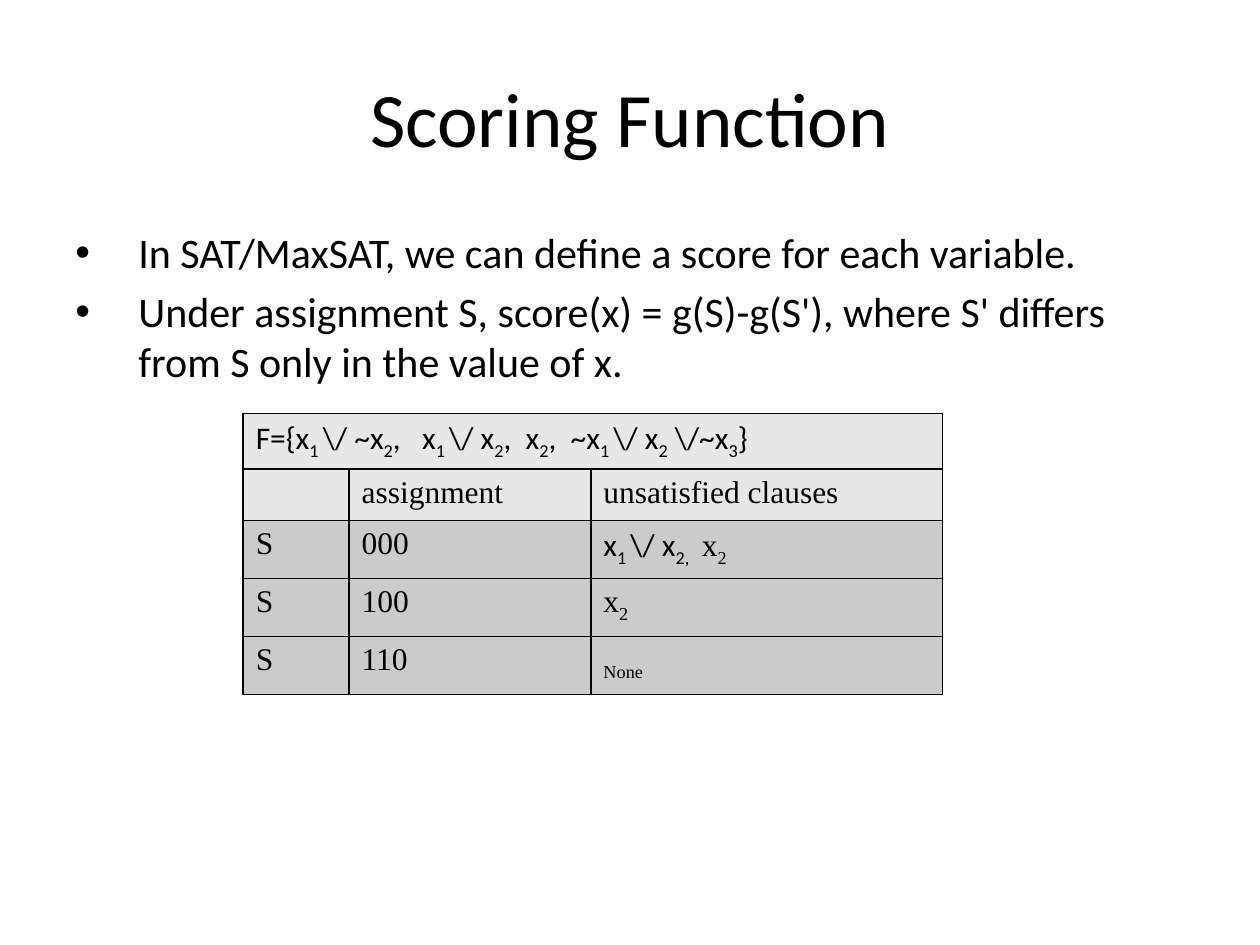
import pptx
import pptx.dml.color
import pptx.enum.text
import pptx.oxml
import pptx.oxml.ns
import pptx.util
from lxml import etree

Inches, Pt = pptx.util.Inches, pptx.util.Pt
ALIGN, ANCHOR = pptx.enum.text.PP_ALIGN, pptx.enum.text.MSO_ANCHOR
COLORS = {"text": "000000", "border": "000000", "head": "E7E7E7", "body": "CBCBCB"}
SANS, SERIF = "Calibri", "Times New Roman"

BULLETS = [
    "In SAT/MaxSAT, we can define a score for each variable.",
    "Under assignment S, score(x) = g(S)-g(S'), where S' differs from S only in the value of x.",
]
COL_WIDTHS = [0.84, 1.92, 2.79]
ROW_HEIGHTS = [0.44, 0.41, 0.46, 0.46, 0.46]
FORMULA = r"F={x|1 |\/ ~x|2|,   x|1 |\/ x|2|,  x|2|,  ~x|1 |\/ x|2| \/~x|3|}"
ROWS = [
    [[(FORMULA, SANS)], [], []],
    [[], [("assignment", SERIF)], [("unsatisfied clauses", SERIF)]],
    [[("S", SERIF)], [("000", SERIF)], [(r"x|1 |\/ x|2,   ", SANS), ("x|2", SERIF)]],
    [[("S", SERIF)], [("100", SERIF)], [("x|2", SERIF)]],
    [[("S", SERIF)], [("110", SERIF)], [("|None", SERIF)]],
]


def rgb(name):
    """Return the named colour."""
    return pptx.dml.color.RGBColor.from_string(COLORS[name])


def set_attrs(obj, values):
    """Set attributes from a dict of format values."""
    for name, value in values.items():
        setattr(obj, name, value)


def add_text(p, text, font, size):
    """Add runs to a paragraph; every second part between bars is a subscript."""
    for i, part in enumerate(text.split("|")):
        if part:
            r = p.add_run()
            r.text = part
            set_attrs(r.font, {"name": font, "size": Pt(size)})
            r.font.color.rgb = rgb("text")
            if i % 2:
                r.font._element.set("baseline", "-25000")


def add_frame(s, box, anchor):
    """Add a wrapping text box and return its text frame."""
    tf = s.shapes.add_textbox(*map(Inches, box)).text_frame
    set_attrs(tf, {"word_wrap": True, "vertical_anchor": anchor})
    return tf


def add_title(s, box):
    """Place the centred title in its box."""
    p = add_frame(s, box, ANCHOR.MIDDLE).paragraphs[0]
    p.alignment = ALIGN.CENTER
    add_text(p, "Scoring Function", SANS, 44)


def add_bullets(s, box):
    """Place the bulleted definitions in their box."""
    tf = add_frame(s, box, ANCHOR.TOP)
    for i, text in enumerate(BULLETS):
        p = tf.add_paragraph() if i else tf.paragraphs[0]
        p.space_before = Pt(4.8)
        pPr = p._p.get_or_add_pPr()
        pPr.set("marL", str(Inches(0.5)))
        pPr.set("indent", str(-Inches(0.5)))
        font = etree.SubElement(pPr, pptx.oxml.ns.qn("a:buFont"))
        font.set("typeface", "Arial")
        etree.SubElement(pPr, pptx.oxml.ns.qn("a:buChar")).set("char", "•")
        add_text(p, text, SANS, 24)


def add_borders(cell):
    """Draw a one-point line on each side of a cell."""
    tcPr = cell._tc.get_or_add_tcPr()
    for side in "LRTB":
        tcPr.append(pptx.oxml.parse_xml(
            f'<a:ln{side} {pptx.oxml.ns.nsdecls("a")} w="{Pt(1)}"><a:solidFill>'
            f'<a:srgbClr val="{COLORS["border"]}"/></a:solidFill></a:ln{side}>'))


def add_score_table(s, box):
    """Place the table of assignments and unsatisfied clauses in its box."""
    table = s.shapes.add_table(len(ROWS), len(COL_WIDTHS), *map(Inches, box)).table
    set_attrs(table, {"first_row": False, "horz_banding": False})
    for column, width in zip(table.columns, COL_WIDTHS):
        column.width = Inches(width)
    for row, height in zip(table.rows, ROW_HEIGHTS):
        row.height = Inches(height)
    table.cell(0, 0).merge(table.cell(0, len(COL_WIDTHS) - 1))
    for i, row in enumerate(ROWS):
        for j, parts in enumerate(row):
            cell = table.cell(i, j)
            add_borders(cell)
            cell.fill.solid()
            cell.fill.fore_color.rgb = rgb("head" if i < 2 else "body")
            for text, font in parts:
                add_text(cell.text_frame.paragraphs[0], text, font, 18)


def main():
    """Build the slide and save it."""
    prs = pptx.Presentation()
    set_attrs(prs, {"slide_width": Inches(10), "slide_height": Inches(7.5)})
    s = prs.slides.add_slide(prs.slide_layouts[6])
    add_title(s, (0.5, 0.3, 9, 1.25))
    add_bullets(s, (0.5, 1.75, 9, 5.21))
    add_score_table(s, (1.93, 3.28, sum(COL_WIDTHS), sum(ROW_HEIGHTS)))
    prs.save("out.pptx")


if __name__ == "__main__":
    main()
